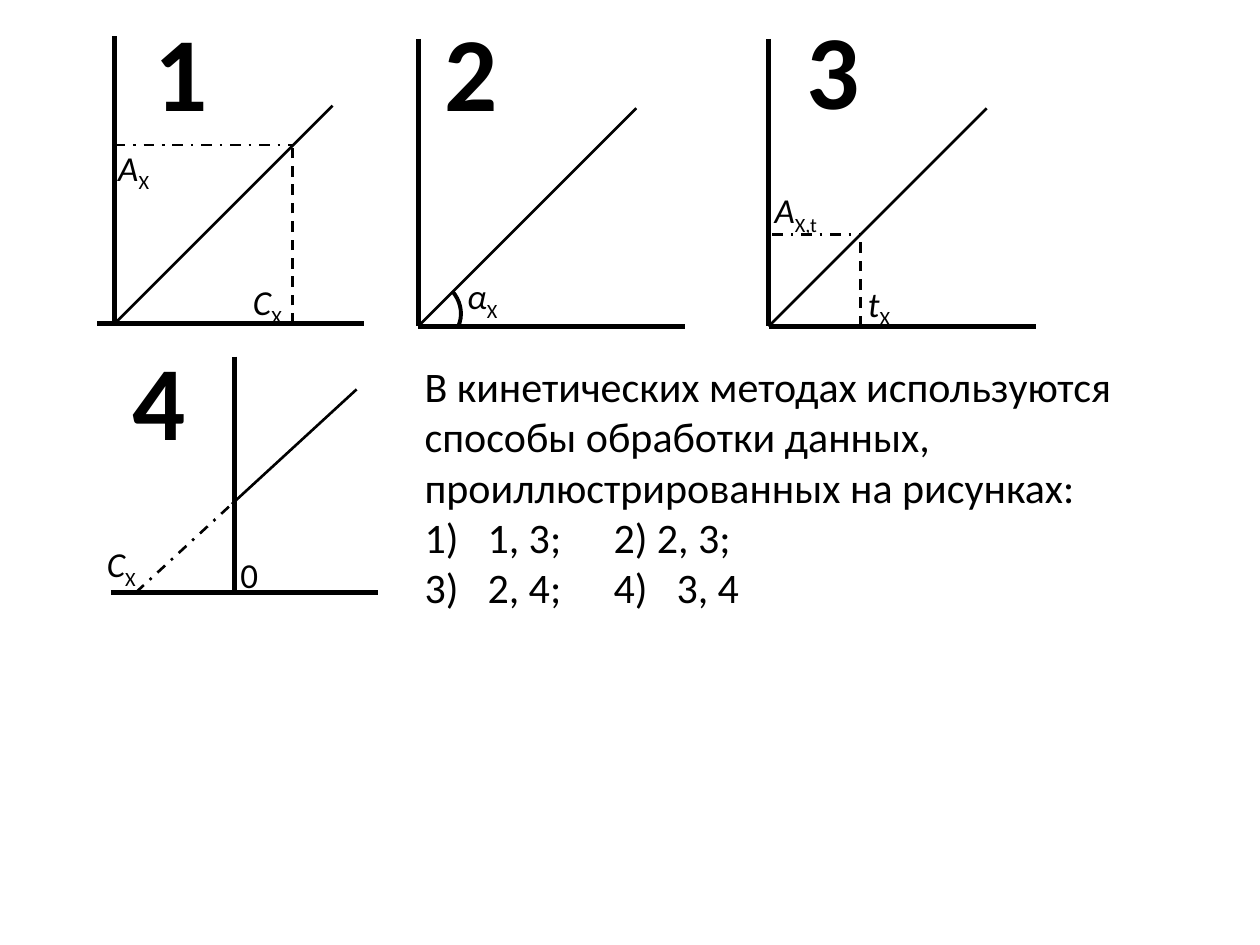
from pptx import Presentation
from pptx.dml.color import RGBColor
from pptx.enum.dml import MSO_LINE
from pptx.enum.shapes import MSO_CONNECTOR, MSO_SHAPE
from pptx.enum.text import MSO_ANCHOR, MSO_AUTO_SIZE
from pptx.oxml.ns import qn
from pptx.util import Pt
from lxml import etree

STRAIGHT = MSO_CONNECTOR.STRAIGHT
ARC = MSO_SHAPE.ARC
DASH, DASH_DOT = MSO_LINE.DASH, MSO_LINE.DASH_DOT
TOP = MSO_ANCHOR.TOP
NO_FIT = MSO_AUTO_SIZE.NONE
FONT = "Calibri"
BLACK = "000000"
AXIS_LENGTH = 152.6
RAY_END = (124.6, -124.6)


def color(hex_string):
    """Turn a hex string into a colour."""
    return RGBColor.from_string(hex_string)


def add_span(para, text, size, bold=False, italic=False, subscript=False):
    """Add one formatted run to a paragraph."""
    span = para.add_run()
    span.text = text
    span.font.name = FONT
    span.font.size = Pt(size)
    span.font.bold = bold
    span.font.italic = italic
    span.font.color.rgb = color(BLACK)
    if subscript:
        span._r.get_or_add_rPr().set("baseline", "-25000")


def add_line(page, origin, start, end, weight=1.5, dash=None):
    """Draw a line between two points relative to the origin."""
    left, top = origin
    line = page.shapes.add_connector(
        STRAIGHT, Pt(left + start[0]), Pt(top + start[1]), Pt(left + end[0]), Pt(top + end[1])
    )
    line.line.color.rgb = color(BLACK)
    line.line.width = Pt(weight)
    if dash is not None:
        line.line.dash_style = dash
    etree.SubElement(line._element.spPr, qn("a:effectLst"))


def add_text_box(page, origin, offset, width, height):
    """Add a wrapping text box and return its first paragraph."""
    box = page.shapes.add_textbox(
        Pt(origin[0] + offset[0]), Pt(origin[1] + offset[1]), Pt(width), Pt(height)
    )
    box.text_frame.word_wrap = True
    return box.text_frame.paragraphs[0]


def add_label(page, origin, offset, symbol, index, width=33.8):
    """Write an italic symbol with a subscript index."""
    para = add_text_box(page, origin, offset, width, 31.7)
    add_span(para, symbol, 20, italic=True)
    add_span(para, index, 20, subscript=True)


def add_number(page, origin, offset, number):
    """Write the large number of a graph."""
    para = add_text_box(page, origin, offset, 73.4, 80)
    add_span(para, number, 60, bold=True)


def add_axes(page, origin, height=164.2, left=0):
    """Draw both axes crossing at the origin."""
    add_line(page, origin, (0, -height), (0, 0), 3)
    add_line(page, origin, (left, 0), (left + AXIS_LENGTH, 0), 3)


def add_reading(page, origin, start, x, y):
    """Draw the guide lines from a graph point to both axes."""
    add_line(page, origin, (start, y), (x, y), dash=DASH_DOT)
    add_line(page, origin, (x, 0), (x, y), dash=DASH)


def add_calibration_graph(page, origin):
    """Draw graph 1, signal against concentration."""
    add_axes(page, origin, left=-10)
    add_line(page, origin, (0, 0), RAY_END)
    add_reading(page, origin, 0, 101.5, -102.2)
    add_label(page, origin, (72, -28), "C", "X")
    add_label(page, origin, (-5, -105.1), "A", "X")
    add_number(page, origin, (15.9, -185), "1")


def add_slope_graph(page, origin):
    """Draw graph 2, the slope angle of a line."""
    add_axes(page, origin)
    add_line(page, origin, (0, 0), RAY_END)
    angle = page.shapes.add_shape(
        ARC, Pt(origin[0] - 12.2), Pt(origin[1] - 25.9), Pt(37.4), Pt(34.6)
    )
    angle.adjustments[0] = 162
    angle.adjustments[1] = 205.38
    angle.rotation = 48.6
    angle.shadow.inherit = False
    angle.fill.background()
    angle.line.color.rgb = color(BLACK)
    angle.line.width = Pt(2.25)
    add_label(page, origin, (20.9, -33.1), "α", "X")
    add_number(page, origin, (8, -186.5), "2")


def add_fixed_time_graph(page, origin):
    """Draw graph 3, signal at a fixed time."""
    add_axes(page, origin)
    add_line(page, origin, (0, 0), RAY_END)
    add_reading(page, origin, 2.2, 52.6, -52.6)
    add_label(page, origin, (49.7, -28.8), "t", "X")
    add_label(page, origin, (-3.6, -82.1), "A", "X,t", 44)
    add_number(page, origin, (14.4, -187.2), "3")


def add_addition_graph(page, origin):
    """Draw graph 4, extrapolation to the negative side."""
    crossing = (-1.4, -50.4)
    add_axes(page, origin, 134.6, -70.5)
    add_line(page, origin, crossing, (69.9, -115.9))
    add_line(page, origin, (-56.1, 0), crossing, dash=DASH_DOT)
    add_label(page, origin, (-79.9, -31.7), "C", "X", 44)
    add_number(page, origin, (-65.5, -150.5), "4")
    para = add_text_box(page, origin, (-3.6, -25.9), 29.5, 31.7)
    add_span(para, "0", 20)


def add_question(page, left, top, width, height):
    """Fill the body placeholder with the question and its answers."""
    body = page.placeholders[1]
    body.left, body.top, body.width, body.height = Pt(left), Pt(top), Pt(width), Pt(height)
    frame = body.text_frame
    frame.word_wrap = True
    frame.auto_size = NO_FIT
    frame.vertical_anchor = TOP
    texts = (
        "В кинетических методах используются способы обработки данных, "
        "проиллюстрированных на рисунках:",
        "1)\t1, 3;\t2) 2, 3;",
        "3)\t2, 4;\t4)\t3, 4",
    )
    for number, text in enumerate(texts):
        para = frame.paragraphs[0] if number == 0 else frame.add_paragraph()
        properties = para._p.get_or_add_pPr()
        properties.set("marL", "0")
        properties.set("indent", "0")
        etree.SubElement(properties, qn("a:buNone"))
        if number > 0:
            tabs = etree.SubElement(properties, qn("a:tabLst"))
            for position in (28, 260.6):
                etree.SubElement(tabs, qn("a:tab"), pos=str(int(Pt(position))), algn="l")
        para.space_before = Pt(0)
        add_span(para, text, 24)


def main():
    """Build and save the slide."""
    deck = Presentation()
    deck.slide_width, deck.slide_height = Pt(720), Pt(540)
    page = deck.slides.add_slide(deck.slide_layouts[1])
    title = page.shapes.title._element
    title.getparent().remove(title)
    add_question(page, 235.4, 202.3, 436.3, 152.6)
    add_calibration_graph(page, (65.5, 185))
    add_slope_graph(page, (239, 186.5))
    add_fixed_time_graph(page, (439.2, 186.5))
    add_addition_graph(page, (133.9, 338.4))
    deck.save("out.pptx")


if __name__ == "__main__":
    main()
